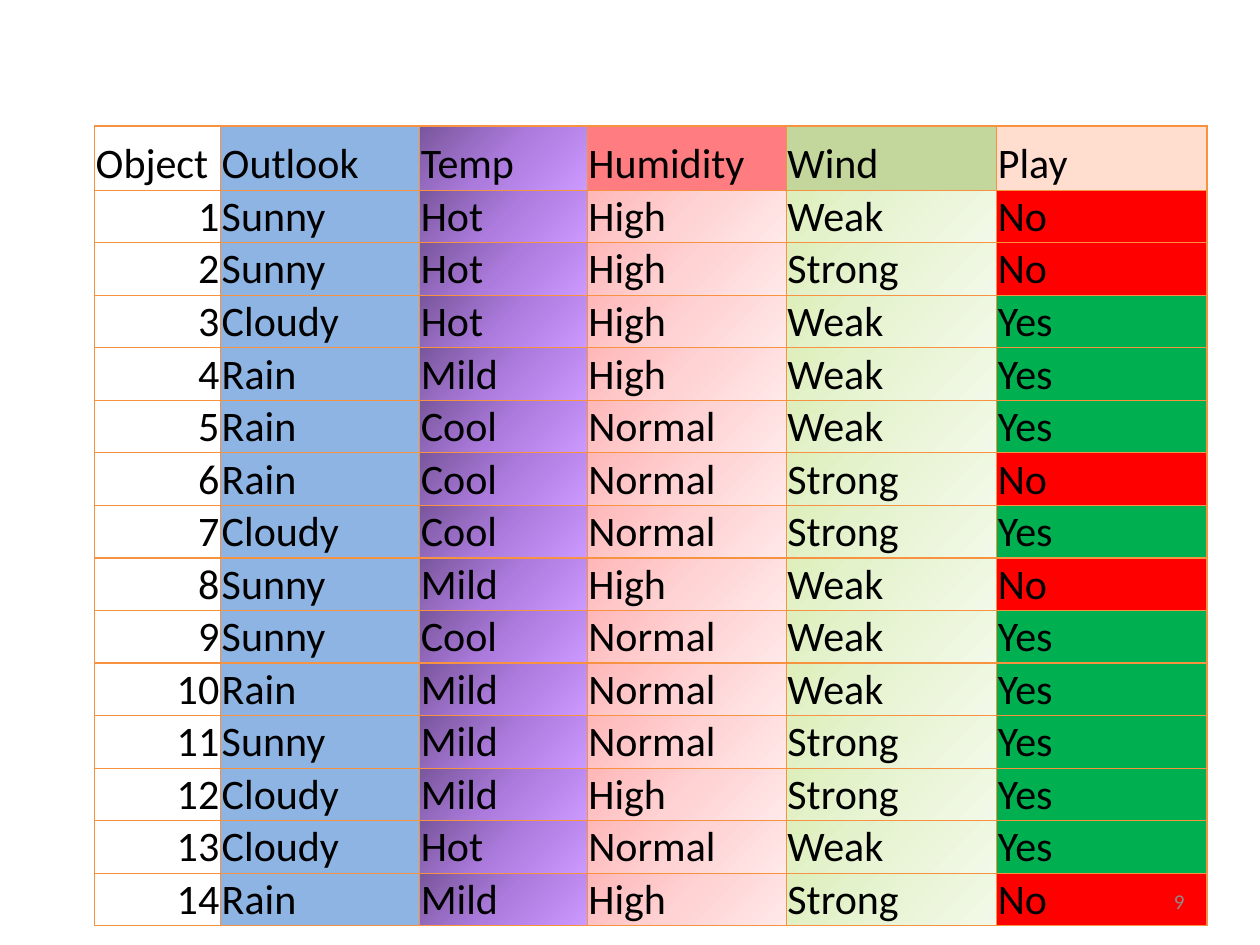
from lxml import etree
from pptx import Presentation
from pptx import util as u
from pptx.dml.color import RGBColor
from pptx.enum import text
from pptx.oxml import ns

HEADERS = ["Object", "Outlook", "Temp", "Humidity", "Wind", "Play"]
DAYS = [
    ("Sunny", "Hot", "High", "Weak", "No"),
    ("Sunny", "Hot", "High", "Strong", "No"),
    ("Cloudy", "Hot", "High", "Weak", "Yes"),
    ("Rain", "Mild", "High", "Weak", "Yes"),
    ("Rain", "Cool", "Normal", "Weak", "Yes"),
    ("Rain", "Cool", "Normal", "Strong", "No"),
    ("Cloudy", "Cool", "Normal", "Strong", "Yes"),
    ("Sunny", "Mild", "High", "Weak", "No"),
    ("Sunny", "Cool", "Normal", "Weak", "Yes"),
    ("Rain", "Mild", "Normal", "Weak", "Yes"),
    ("Sunny", "Mild", "Normal", "Strong", "Yes"),
    ("Cloudy", "Mild", "High", "Strong", "Yes"),
    ("Cloudy", "Hot", "Normal", "Weak", "Yes"),
    ("Rain", "Mild", "High", "Strong", "No"),
]
PAGE_NUMBER = "9"
COLUMN_WIDTHS = [1, 1.58, 1.33, 1.58, 1.67, 1.67]
HEADER_HEIGHT, DAY_HEIGHT, TABLE_HEIGHT = 0.51, 0.28, 6.26
FONT = "Calibri"

BLACK = RGBColor(0x00, 0x00, 0x00)
GREY = RGBColor(0x8C, 0x8C, 0x8C)
ORANGE = RGBColor(0xF6, 0x92, 0x40)
WHITE = RGBColor(0xFF, 0xFF, 0xFF)
BLUE = RGBColor(0x8E, 0xB4, 0xE3)
CORAL = RGBColor(0xFF, 0x7C, 0x80)
OLIVE = RGBColor(0xC3, 0xD6, 0x9B)
PEACH = RGBColor(0xFF, 0xDD, 0xCF)
RED = RGBColor(0xFF, 0x00, 0x00)
GREEN = RGBColor(0x00, 0xB0, 0x50)
PURPLES = [RGBColor(0x79, 0x56, 0x9C), RGBColor(0xAC, 0x7B, 0xDD), RGBColor(0xCC, 0x99, 0xFF)]
PINKS = [RGBColor(0xFF, 0xB7, 0xB9), RGBColor(0xFF, 0xD2, 0xD3), RGBColor(0xFF, 0xE9, 0xE9)]
LIMES = [RGBColor(0xDD, 0xEF, 0xBB), RGBColor(0xE8, 0xF4, 0xD4), RGBColor(0xF3, 0xF9, 0xE9)]

HEADER_FILLS = [WHITE, BLUE, PURPLES, CORAL, OLIVE, PEACH]
DAY_FILLS = [WHITE, BLUE, PURPLES, PINKS, LIMES]
PLAY_FILLS = {"No": RED, "Yes": GREEN}


def add_element(parent, tag, **attributes):
    return etree.SubElement(parent, ns.qn(tag), **attributes)


def add_borders(cell):
    properties = cell._tc.get_or_add_tcPr()
    for side in ("a:lnL", "a:lnR", "a:lnT", "a:lnB"):
        line = add_element(properties, side, w=str(u.Pt(0.75)))
        solid = add_element(line, "a:solidFill")
        add_element(solid, "a:srgbClr", val=str(ORANGE))


def fill_cell(cell, fill):
    if isinstance(fill, RGBColor):
        cell.fill.solid()
        cell.fill.fore_color.rgb = fill
        return
    gradient = add_element(cell._tc.get_or_add_tcPr(), "a:gradFill", rotWithShape="1")
    stops = add_element(gradient, "a:gsLst")
    for index, color in enumerate(fill):
        stop = add_element(stops, "a:gs", pos=str(index * 50000))
        add_element(stop, "a:srgbClr", val=str(color))
    add_element(gradient, "a:lin", ang=str(45 * 60000), scaled="0")


def write(frame, words, size, color, align):
    frame.text = words
    para = frame.paragraphs[0]
    para.alignment = align
    font = para.runs[0].font
    font.name, font.size, font.color.rgb = FONT, u.Pt(size), color


deck = Presentation()
deck.slide_width, deck.slide_height = u.Inches(10), u.Inches(7.5)
page = deck.slides.add_slide(deck.slide_layouts[6])

rows = [HEADERS] + [(str(number), *day) for number, day in enumerate(DAYS, 1)]
holder = page.shapes.add_table(
    len(rows), len(HEADERS), u.Inches(0.75), u.Inches(1),
    u.Inches(sum(COLUMN_WIDTHS)), u.Inches(TABLE_HEIGHT))
table = holder.table
for column, width in zip(table.columns, COLUMN_WIDTHS):
    column.width = u.Inches(width)

for row_index, values in enumerate(rows):
    is_header = row_index == 0
    table.rows[row_index].height = u.Inches(HEADER_HEIGHT if is_header else DAY_HEIGHT)
    fills = HEADER_FILLS if is_header else DAY_FILLS + [PLAY_FILLS[values[-1]]]
    for column_index, (value, fill) in enumerate(zip(values, fills)):
        cell = table.cell(row_index, column_index)
        cell.margin_left = cell.margin_right = cell.margin_top = u.Inches(0.01)
        cell.margin_bottom = 0
        cell.vertical_anchor = text.MSO_ANCHOR.BOTTOM
        is_number = column_index == 0 and not is_header
        align = text.PP_ALIGN.RIGHT if is_number else text.PP_ALIGN.LEFT
        write(cell.text_frame, value, 24, BLACK, align)
        add_borders(cell)
        fill_cell(cell, fill)
holder.height = u.Inches(TABLE_HEIGHT)

box = page.shapes.add_textbox(u.Inches(7.17), u.Inches(6.95), u.Inches(2.33), u.Inches(0.4))
box.text_frame.word_wrap = True
box.text_frame.vertical_anchor = text.MSO_ANCHOR.MIDDLE
write(box.text_frame, PAGE_NUMBER, 12, GREY, text.PP_ALIGN.RIGHT)

deck.save("out.pptx")
